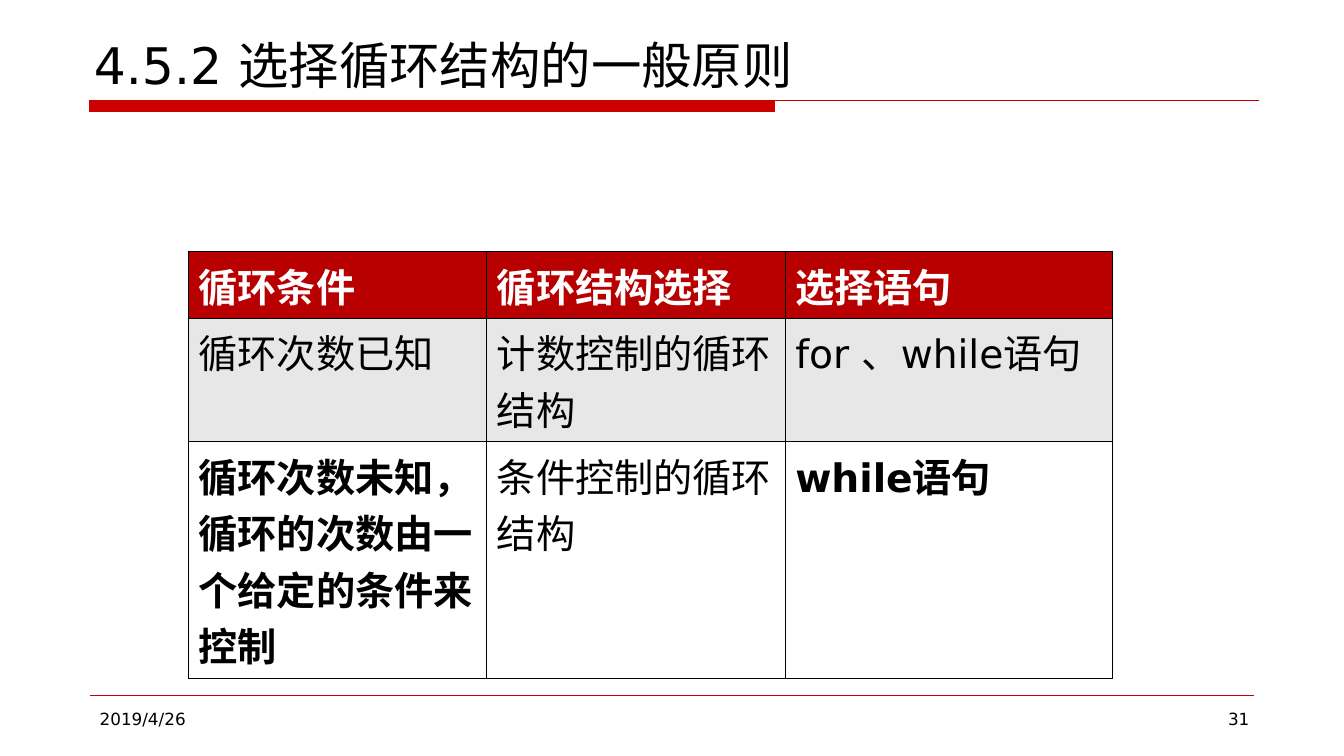
import dataclasses
import pptx
import pptx.util
import pptx.oxml
import pptx.oxml.ns
import pptx.dml.color
import pptx.enum.lang
import pptx.enum.shapes
import pptx.enum.text

RED = pptx.dml.color.RGBColor(0xCC, 0x00, 0x00)
DARK = pptx.dml.color.RGBColor(0xB9, 0x00, 0x00)
PALE = pptx.dml.color.RGBColor(0xE7, 0xE7, 0xE7)
WHITE = pptx.dml.color.RGBColor(0xFF, 0xFF, 0xFF)
BLACK = pptx.dml.color.RGBColor(0x00, 0x00, 0x00)
FONT = "DejaVu Sans"
WIDE = pptx.util.Inches(13.33)
HIGH = pptx.util.Inches(7.5)
ALIGN = pptx.enum.text.PP_ALIGN
ANCHOR = pptx.enum.text.MSO_ANCHOR


@dataclasses.dataclass
class Label:
    text: str
    left: float
    top: float
    width: float
    height: float
    size: int
    align: ALIGN = ALIGN.LEFT
    anchor: ANCHOR = ANCHOR.TOP


@dataclasses.dataclass
class Row:
    height: float
    fill: pptx.dml.color.RGBColor
    ink: pptx.dml.color.RGBColor
    texts: tuple
    bold: tuple


EDGE = 6.68
BAR_TOP, BAR_LOW = 13.25, 14.8
BAR_END, LINE_END = 57.61, 93.7
FOOT_TOP, FOOT_END = 92, 93.32
LABELS = (
    Label("4.5.2 选择循环结构的一般原则", 6.25, 2.7, 87.55, 10.53, 36, anchor=ANCHOR.BOTTOM),
    Label("2019/4/26", EDGE, 93.07, 21.68, 4.93, 12),
    Label("31", 72.02, 93.07, 21.68, 4.93, 12, ALIGN.RIGHT),
)
COLS = (22.2, 22.2, 24.32)
ROWS = (
    Row(8.82, DARK, WHITE, ("循环条件", "循环结构选择", "选择语句"), (True, True, True)),
    Row(16.3, PALE, BLACK, ("循环次数已知", "计数控制的循环结构", "for 、while语句"),
        (False, False, False)),
    Row(31.3, WHITE, BLACK,
        ("循环次数未知，循环的次数由一个给定的条件来控制", "条件控制的循环结构", "while语句"),
        (True, False, True)),
)


def across(share: float) -> int:
    return round(WIDE * share / 100)


def down(share: float) -> int:
    return round(HIGH * share / 100)


def write(frame, text: str, size: int, ink=BLACK, bold: bool = False, align=ALIGN.LEFT) -> None:
    line = frame.paragraphs[0]
    line.alignment = align
    run = line.add_run()
    run.text = text
    font = run.font
    font.name, font.size, font.bold = FONT, pptx.util.Pt(size), bold
    font.color.rgb = ink
    font.language_id = pptx.enum.lang.MSO_LANGUAGE_ID.SIMPLIFIED_CHINESE


def add_label(slide, item: Label) -> None:
    box = slide.shapes.add_textbox(across(item.left), down(item.top),
                                   across(item.width), down(item.height))
    frame = box.text_frame
    frame.word_wrap = True
    frame.vertical_anchor = item.anchor
    write(frame, item.text, item.size, align=item.align)


def add_rule(slide) -> None:
    rule = slide.shapes.add_connector(
        pptx.enum.shapes.MSO_CONNECTOR.STRAIGHT, across(EDGE), down(FOOT_TOP),
        across(FOOT_END), down(FOOT_TOP))
    rule.line.color.rgb = RED
    rule.line.width = pptx.util.Pt(0.25)
    props = rule._element.spPr
    props.append(props.makeelement(pptx.oxml.ns.qn("a:effectLst"), {}))


def add_bar(slide) -> None:
    left, top, end, low = across(EDGE), down(BAR_TOP), across(BAR_END), down(BAR_LOW)
    pen = slide.shapes.build_freeform(left, top)
    pen.add_line_segments([(end, top), (end, low), (left, low)], close=True)
    pen.move_to(left, top)
    pen.add_line_segments([(across(LINE_END), top)], close=False)
    bar = pen.convert_to_shape()
    bar.shadow.inherit = False
    bar.fill.solid()
    bar.fill.fore_color.rgb = RED
    bar.line.color.rgb = RED
    bar.line.width = pptx.util.Pt(0.75)


def add_edges(cell) -> None:
    props = cell._tc.get_or_add_tcPr()
    for side in ("lnL", "lnR", "lnT", "lnB"):
        props.append(pptx.oxml.parse_xml(
            f'<a:{side} {pptx.oxml.ns.nsdecls("a")} w="{pptx.util.Pt(1)}">'
            f'<a:solidFill><a:srgbClr val="{BLACK}"/></a:solidFill></a:{side}>'))


def add_grid(slide) -> None:
    high = sum(row.height for row in ROWS)
    table = slide.shapes.add_table(len(ROWS), len(COLS), across(14.03), down(33.3),
                                   across(sum(COLS)), down(high)).table
    for col, width in zip(table.columns, COLS):
        col.width = across(width)
    for line, row in zip(table.rows, ROWS):
        line.height = down(row.height)
        for cell, text, bold in zip(line.cells, row.texts, row.bold):
            add_edges(cell)
            cell.fill.solid()
            cell.fill.fore_color.rgb = row.fill
            write(cell.text_frame, text, 28, row.ink, bold)


def main() -> None:
    deck = pptx.Presentation()
    deck.slide_width, deck.slide_height = WIDE, HIGH
    slide = deck.slides.add_slide(deck.slide_layouts[6])
    add_bar(slide)
    add_rule(slide)
    for label in LABELS:
        add_label(slide, label)
    add_grid(slide)
    deck.save("out.pptx")


if __name__ == "__main__":
    main()
